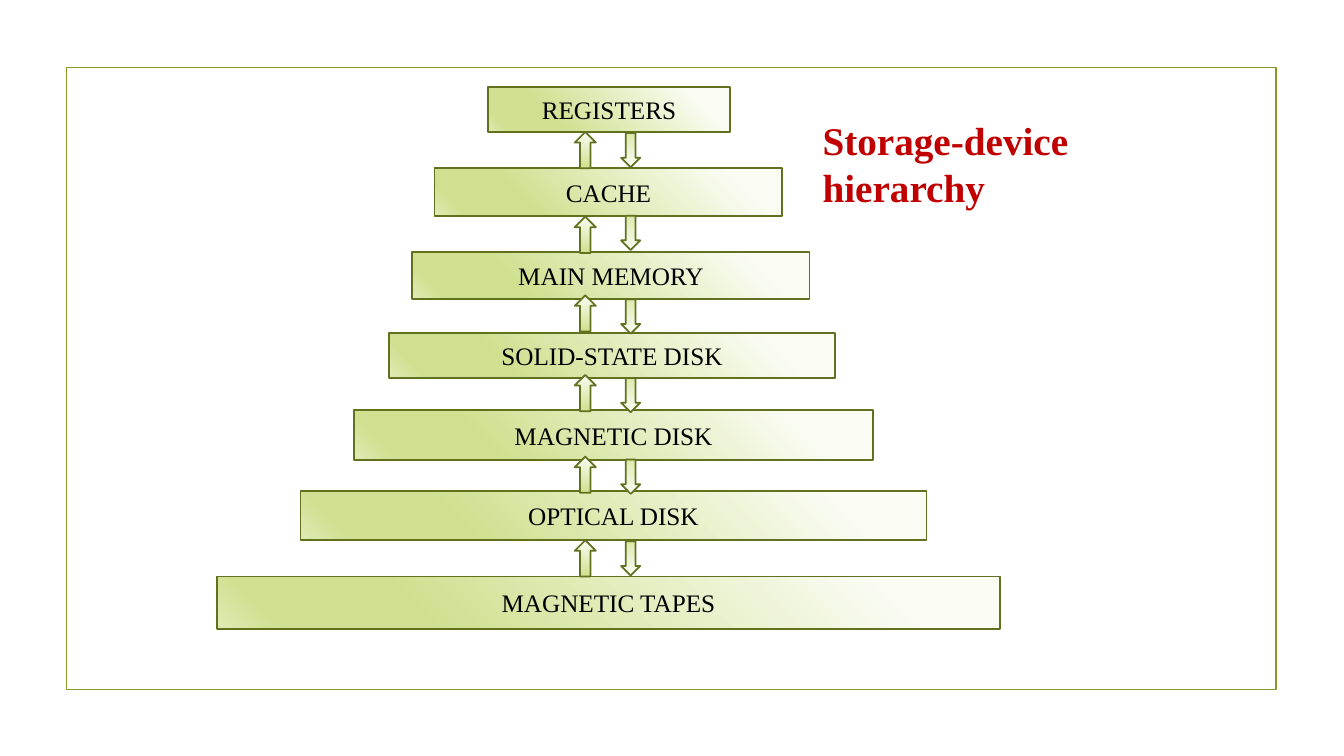
from lxml import etree
from pptx import Presentation
from pptx.dml.color import RGBColor
from pptx.enum import shapes, text
from pptx.oxml import ns
from pptx.util import Inches, Pt

FRAME_GREEN = RGBColor(0x83, 0x99, 0x2A)
OUTLINE_GREEN = RGBColor(0x61, 0x71, 0x1F)
PALE = RGBColor(0xFA, 0xFC, 0xF3)
LEAF = RGBColor(0xD0, 0xE0, 0x90)
SOFT = RGBColor(0xE0, 0xEB, 0xB5)
TITLE_RED = RGBColor(0xC0, 0x00, 0x00)
BLACK = RGBColor(0x00, 0x00, 0x00)

BAR_STOPS = [(15, PALE), (74, LEAF), (92, LEAF), (100, SOFT)]
UP_STOPS = [(0, PALE), (99, LEAF), (100, LEAF), (100, SOFT)]
DOWN_STOPS = [(0, PALE), (92, SOFT), (99, LEAF), (100, LEAF)]

deck = Presentation()
deck.slide_width, deck.slide_height = Inches(13.33), Inches(7.5)
page = deck.slides.add_slide(deck.slide_layouts[6])


def add_box(kind, left, top, width, height, line, stops=None, angle=0):
    """Add an outlined shape; stops run clockwise by angle, none means no fill."""
    box = page.shapes.add_shape(
        kind, Inches(left), Inches(top), Inches(width), Inches(height))
    box.shadow.inherit = False
    box.line.color.rgb = line
    box.line.width = Pt(1.25)
    if stops is None:
        box.fill.background()
        return box
    box.fill.gradient()
    box.fill.gradient_angle = 360 - angle
    stop_list = box._element.spPr.find(".//" + ns.qn("a:gsLst"))
    for old_stop in list(stop_list):
        stop_list.remove(old_stop)
    for percent, color in stops:
        stop = etree.SubElement(stop_list, ns.qn("a:gs"), pos=str(percent * 1000))
        etree.SubElement(stop, ns.qn("a:srgbClr"), val=str(color))
    return box


def write(box, words, size=18, color=BLACK, bold=False,
          align=text.PP_ALIGN.CENTER, anchor=text.MSO_ANCHOR.MIDDLE):
    frame = box.text_frame
    frame.word_wrap = True
    frame.vertical_anchor = anchor
    para = frame.paragraphs[0]
    para.alignment = align
    span = para.add_run()
    span.text = words
    span.font.name = "Times New Roman"
    span.font.size = Pt(size)
    span.font.bold = bold
    span.font.color.rgb = color


add_box(shapes.MSO_SHAPE.RECTANGLE, 0.66, 0.67, 12, 6.17, FRAME_GREEN)

# Storage levels, fastest first: label, left, top, width, height
levels = [
    ("REGISTERS", 4.84, 0.86, 2.4, 0.45),
    ("CACHE", 4.31, 1.67, 3.45, 0.47),
    ("MAIN MEMORY", 4.09, 2.5, 3.94, 0.47),
    ("SOLID-STATE DISK", 3.86, 3.3, 4.42, 0.45),
    ("MAGNETIC DISK", 3.51, 4.07, 5.15, 0.49),
    ("OPTICAL DISK", 2.98, 4.87, 6.21, 0.49),
    ("MAGNETIC TAPES", 2.15, 5.72, 7.77, 0.52),
]
for label, left, top, width, height in levels:
    bar = add_box(shapes.MSO_SHAPE.RECTANGLE, left, top, width, height,
                  OUTLINE_GREEN, BAR_STOPS, 135)
    write(bar, label)

title = page.shapes.add_textbox(Inches(8.06), Inches(1.1), Inches(4.29), Inches(0.57))
write(title, "Storage-device hierarchy", size=28, color=TITLE_RED, bold=True,
      align=text.PP_ALIGN.LEFT, anchor=text.MSO_ANCHOR.TOP)

# Tops of the up and down arrows in each gap between levels
arrow_tops = [(1.31, 1.32), (2.15, 2.14), (2.93, 2.97),
              (3.72, 3.75), (4.53, 4.56), (5.36, 5.37)]
for up_top, down_top in arrow_tops:
    add_box(shapes.MSO_SHAPE.UP_ARROW, 5.7, up_top, 0.21, 0.36,
            OUTLINE_GREEN, UP_STOPS, 90)
    add_box(shapes.MSO_SHAPE.DOWN_ARROW, 6.16, down_top, 0.19, 0.34,
            OUTLINE_GREEN, DOWN_STOPS, 270)

deck.save("out.pptx")
